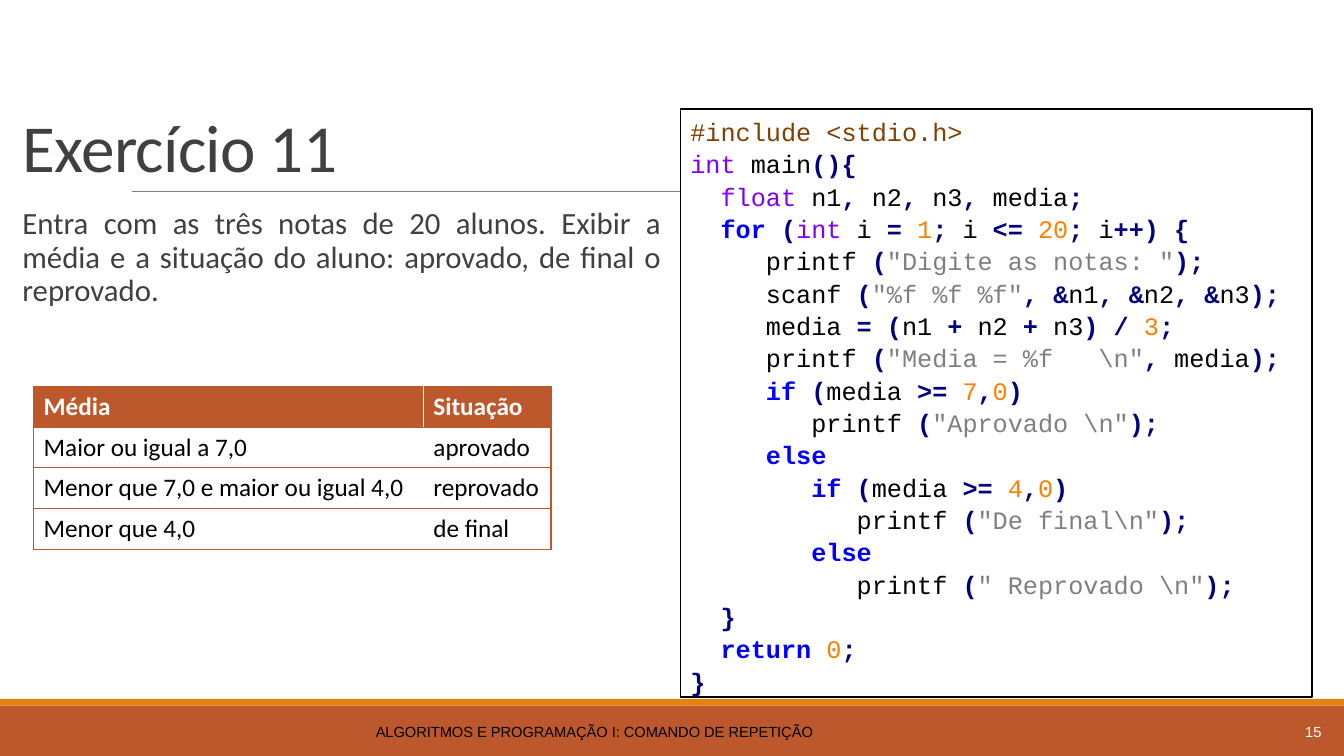
from itertools import groupby

from lxml import etree
from pptx import Presentation, util as u
from pptx.dml.color import RGBColor
from pptx.enum import shapes, text
from pptx.oxml.ns import qn

COLS, ROWS = 160, 90
RUST, AMBER, GREY, DARK = "BD582C", "E48312", "808080", "404040"
BLACK, WHITE = "000000", "FFFFFF"
BROWN, PURPLE, BLUE, NAVY, ORANGE = "804000", "8000FF", "0000FF", "000080", "FF8000"
TYPES, KEYWORDS = {"int", "float"}, {"for", "if", "else", "return"}
CHAR_WIDTH = 0.6  # advance of the code font, as a share of its size

STATEMENT = ("Entra com as três notas de 20 alunos. Exibir a média e a situação "
             "do aluno: aprovado, de final o reprovado.")
GRADES = [("Média", "Situação"),
          ("Maior ou igual a 7,0", "aprovado"),
          ("Menor que 7,0 e maior ou igual 4,0", "reprovado"),
          ("Menor que 4,0", "de final")]
CODE = r'''#include <stdio.h>
int main(){
  float n1, n2, n3, media;
  for (int i = 1; i <= 20; i++) {
     printf ("Digite as notas: ");
     scanf ("%f %f %f", &n1, &n2, &n3);
     media = (n1 + n2 + n3) / 3;
     printf ("Media = %f   \n", media);
     if (media >= 7,0)
        printf ("Aprovado \n");
     else
        if (media >= 4,0)
           printf ("De final\n");
        else
           printf (" Reprovado \n");
  }
  return 0;
}'''


def rgb(color):
    return RGBColor.from_string(color)


def write(p, content, font="Calibri", size=18, color=BLACK, bold=False, spacing=None):
    r = p.add_run()
    r.text = content
    r.font.name, r.font.size, r.font.bold = font, u.Pt(size), bold
    r.font.color.rgb = rgb(color)
    if spacing is not None:
        r.font._element.set("spc", str(int(spacing * 100)))


def indent(p, points):
    pPr = p._p.get_or_add_pPr()
    pPr.set("marL", str(u.Pt(points)))
    pPr.set("indent", "0")


def word_style(word):
    """Return the colour and weight of one word or group of symbols."""
    if word in TYPES:
        return PURPLE, False
    if word in KEYWORDS:
        return BLUE, True
    if word.isdigit():
        return ORANGE, False
    return (BLACK, False) if word[0].isalnum() or word.isspace() else (NAVY, True)


def tokens(line):
    """Yield (text, colour, bold) for each token of a line of C."""
    if line.startswith("#"):
        yield line, BROWN, False
        return
    for i, part in enumerate(line.split('"')):
        if i % 2:
            yield f'"{part}"', GREY, False
            continue
        for _, chars in groupby(part, lambda c: (c.isalnum(), c.isspace())):
            word = "".join(chars)
            yield word, *word_style(word)


class Deck:
    """Holds the presentation, its grid and the current slide."""

    def __init__(self):
        self.prs = Presentation()
        self.prs.slide_width, self.prs.slide_height = u.Inches(13.333), u.Inches(7.5)
        self.s = self.prs.slides.add_slide(self.prs.slide_layouts[5])

    def x(self, cols):
        return int(self.prs.slide_width * cols / COLS)

    def y(self, rows):
        return int(self.prs.slide_height * rows / ROWS)

    def area(self, left, top, width, height):
        return self.x(left), self.y(top), self.x(width), self.y(height)

    def title(self, box, content, **fmt):
        sp = self.s.shapes.title
        sp.left, sp.top, sp.width, sp.height = self.area(*box)
        tf = sp.text_frame
        tf.auto_size = text.MSO_AUTO_SIZE.NONE
        tf.vertical_anchor = text.MSO_ANCHOR.BOTTOM
        p = tf.paragraphs[0]
        p.alignment, p.line_spacing = text.PP_ALIGN.LEFT, 0.85
        write(p, content, **fmt)

    def rect(self, box, fill, line=None):
        sp = self.s.shapes.add_shape(shapes.MSO_SHAPE.RECTANGLE, *self.area(*box))
        sp.shadow.inherit = False
        sp.fill.solid()
        sp.fill.fore_color.rgb = rgb(fill)
        if line:
            sp.line.color.rgb, sp.line.width = rgb(line), u.Pt(1.25)
        else:
            sp.line.fill.background()
        return sp

    def rule(self, left, right, row, color):
        cx = self.s.shapes.add_connector(shapes.MSO_CONNECTOR.STRAIGHT, self.x(left),
                                         self.y(row), self.x(right), self.y(row))
        cx.line.color.rgb, cx.line.width = rgb(color), u.Pt(0.5)
        etree.SubElement(cx._element.spPr, qn("a:effectLst"))

    def label(self, box, content, align, anchor=text.MSO_ANCHOR.MIDDLE, **fmt):
        tf = self.s.shapes.add_textbox(*self.area(*box)).text_frame
        tf.word_wrap, tf.vertical_anchor = True, anchor
        p = tf.paragraphs[0]
        p.alignment = align
        write(p, content, **fmt)
        return p

    def border(self, cell, *sides):
        tcPr = cell._tc.get_or_add_tcPr()
        for i, side in enumerate(sides):
            ln = etree.Element(qn(f"a:ln{side}"), w=str(u.Pt(1)))
            fill = etree.SubElement(ln, qn("a:solidFill"))
            etree.SubElement(fill, qn("a:srgbClr"), val=RUST)
            tcPr.insert(i, ln)

    def table(self, box, rows, widths):
        frame = self.s.shapes.add_table(len(rows), len(widths), *self.area(*box))
        for column, width in zip(frame.table.columns, widths):
            column.width = self.x(width)
        for i, row in enumerate(rows):
            for j, content in enumerate(row):
                cell, head = frame.table.cell(i, j), i == 0
                cell.fill.solid()
                cell.fill.fore_color.rgb = rgb(RUST if head else WHITE)
                write(cell.text_frame.paragraphs[0], content,
                      color=WHITE if head else BLACK, bold=head)
                self.border(cell, "R" if j else "L", "T", "B")

    def code(self, box, source, size=18):
        tf = self.rect(box, WHITE, BLACK).text_frame
        tf.word_wrap, tf.vertical_anchor = True, text.MSO_ANCHOR.TOP
        for i, line in enumerate(source.splitlines()):
            p = tf.add_paragraph() if i else tf.paragraphs[0]
            p.alignment, p.line_spacing = text.PP_ALIGN.LEFT, 1.07
            body = line.lstrip()
            indent(p, (len(line) - len(body)) * size * CHAR_WIDTH)
            for token, color, bold in tokens(body):
                write(p, token, font="Courier New", size=size, color=color, bold=bold)


def main():
    deck = Deck()
    align = text.PP_ALIGN
    deck.rect((0, 84, COLS, 6), RUST)
    deck.rect((0, 83.2, COLS, 0.8), AMBER)
    deck.rule(15.7, 146.5, 22.8, GREY)
    deck.title((1.5, 3.7, 157.2, 19.1), "Exercício 11", size=48, color=DARK, spacing=-0.5)
    p = deck.label((1.5, 24.2, 78.4, 58.9), STATEMENT, align.JUSTIFY,
                   text.MSO_ANCHOR.TOP, size=22, color=DARK)
    p.line_spacing = 0.9
    deck.label((1.5, 84.7, 138.6, 4.8), "ALGORITMOS E PROGRAMAÇÃO I: COMANDO DE REPETIÇÃO",
               align.CENTER, font="Arial", size=10.5)
    deck.label((141.4, 84.7, 17.1, 4.8), "15", align.RIGHT,
               font="Arial", size=10.5, color=WHITE)
    deck.table((4, 46, 61.6, 19.4), GRADES, (46.4, 15.2))
    deck.code((81, 13, 75.2, 70), CODE)
    deck.prs.save("out.pptx")


if __name__ == "__main__":
    main()
